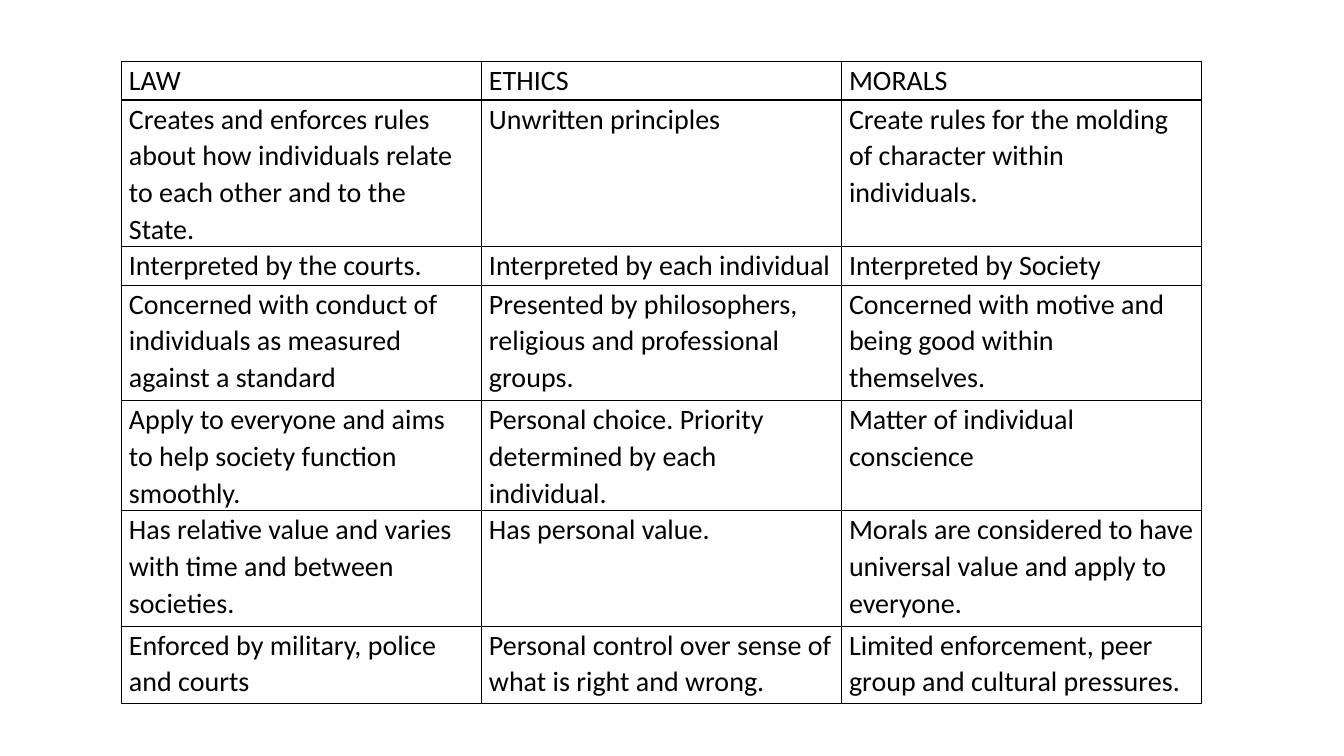
"""Build a slide with a table comparing law, ethics and morals."""
from lxml.etree import SubElement
from pptx import Presentation
from pptx.dml.color import RGBColor as RGB
from pptx.oxml import parse_xml
from pptx.oxml.ns import nsdecls, qn
from pptx.util import Cm, Pt

COLORS = {"text": "000000", "border": "000000"}
FONT = "Calibri"
LINE_HEIGHT = 0.97
ROWS = [
    (1, "LAW", "ETHICS", "MORALS"),
    (3, "Creates and enforces rules about how individuals relate to each other and to the State.",
     "Unwritten principles",
     "Create rules for the molding of character within individuals."),
    (1, "Interpreted by the courts.", "Interpreted by each individual",
     "Interpreted by Society"),
    (3, "Concerned with conduct of individuals as measured against a standard",
     "Presented by philosophers, religious and professional groups.",
     "Concerned with motive and being good within themselves."),
    (2, "Apply to everyone and aims to help society function smoothly.",
     "Personal choice. Priority determined by each individual.",
     "Matter of individual conscience"),
    (3, "Has relative value and varies with time and between societies.",
     "Has personal value.",
     "Morals are considered to have universal value and apply to everyone."),
    (2, "Enforced by military, police and courts",
     "Personal control over sense of what is right and wrong.",
     "Limited enforcement, peer group and cultural pressures."),
]


def add_borders(cell):
    """Draw a one-point line on all four sides of a cell."""
    tcPr = cell._tc.get_or_add_tcPr()
    for i, side in enumerate(("lnL", "lnR", "lnT", "lnB")):
        ln = parse_xml(f'<a:{side} {nsdecls("a")} w="{Pt(1)}"/>')
        fill = SubElement(ln, qn("a:solidFill"))
        SubElement(fill, qn("a:srgbClr"), val=COLORS["border"])
        tcPr.insert(i, ln)


def fill_cell(cell, text):
    """Write and style the text of one cell."""
    cell.fill.background()
    add_borders(cell)
    cell.margin_left = cell.margin_right = Cm(0.18)
    cell.margin_top = cell.margin_bottom = 0
    p = cell.text_frame.paragraphs[0]
    p.line_spacing = 1.07
    r = p.add_run()
    r.text = text
    r.font.name = FONT
    r.font.size = Pt(20)
    r.font.color.rgb = RGB.from_string(COLORS["text"])


def add_comparison(slide, left, top, width, height):
    """Place the comparison table in the given box, in centimetres."""
    table = slide.shapes.add_table(len(ROWS), 3, Cm(left), Cm(top),
                                   Cm(width), Cm(height)).table
    table.first_row = table.horz_banding = False
    for row, (lines, *texts) in zip(table.rows, ROWS):
        row.height = Cm(lines * LINE_HEIGHT)
        for cell, text in zip(row.cells, texts):
            fill_cell(cell, text)


def main():
    """Create and save the presentation."""
    prs = Presentation()
    prs.slide_width, prs.slide_height = Cm(33.87), Cm(19.05)
    slide = prs.slides.add_slide(prs.slide_layouts[6])
    add_comparison(slide, 3.07, 1.55, 27.22, 15.93)
    prs.save("out.pptx")


if __name__ == "__main__":
    main()
